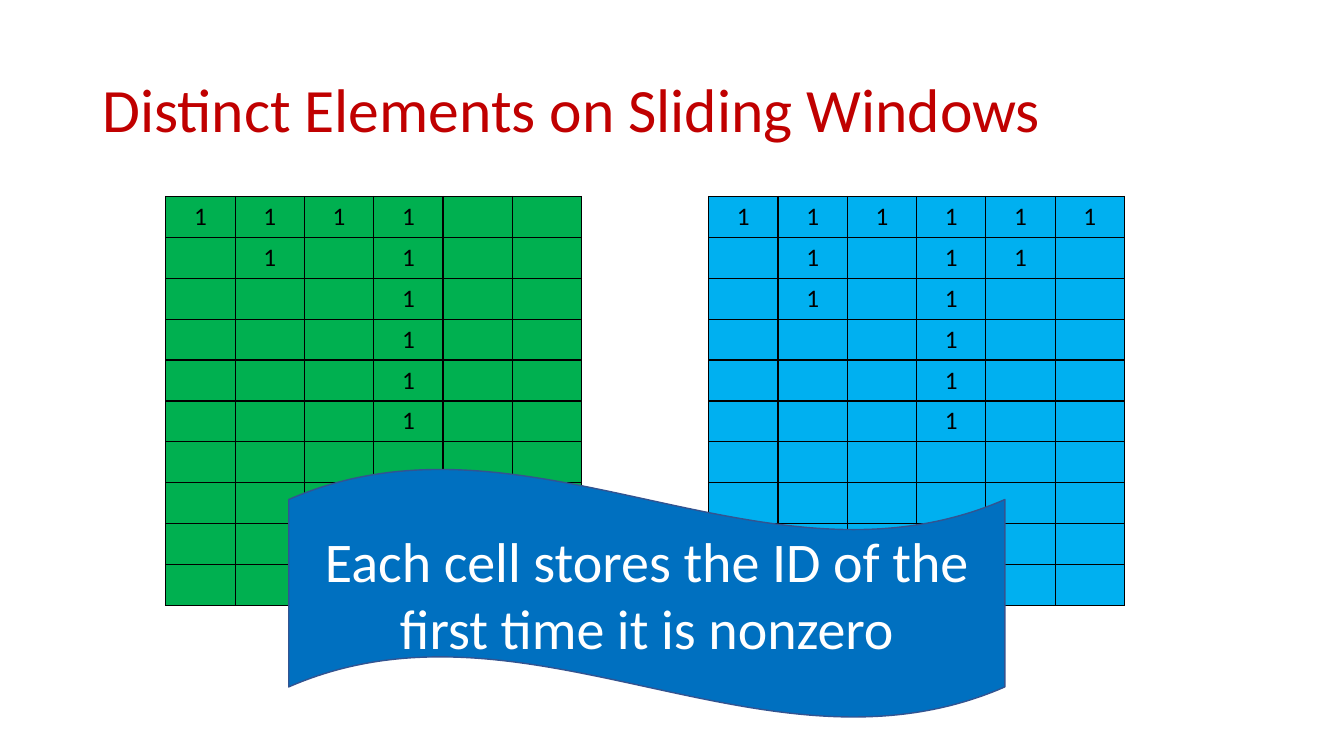
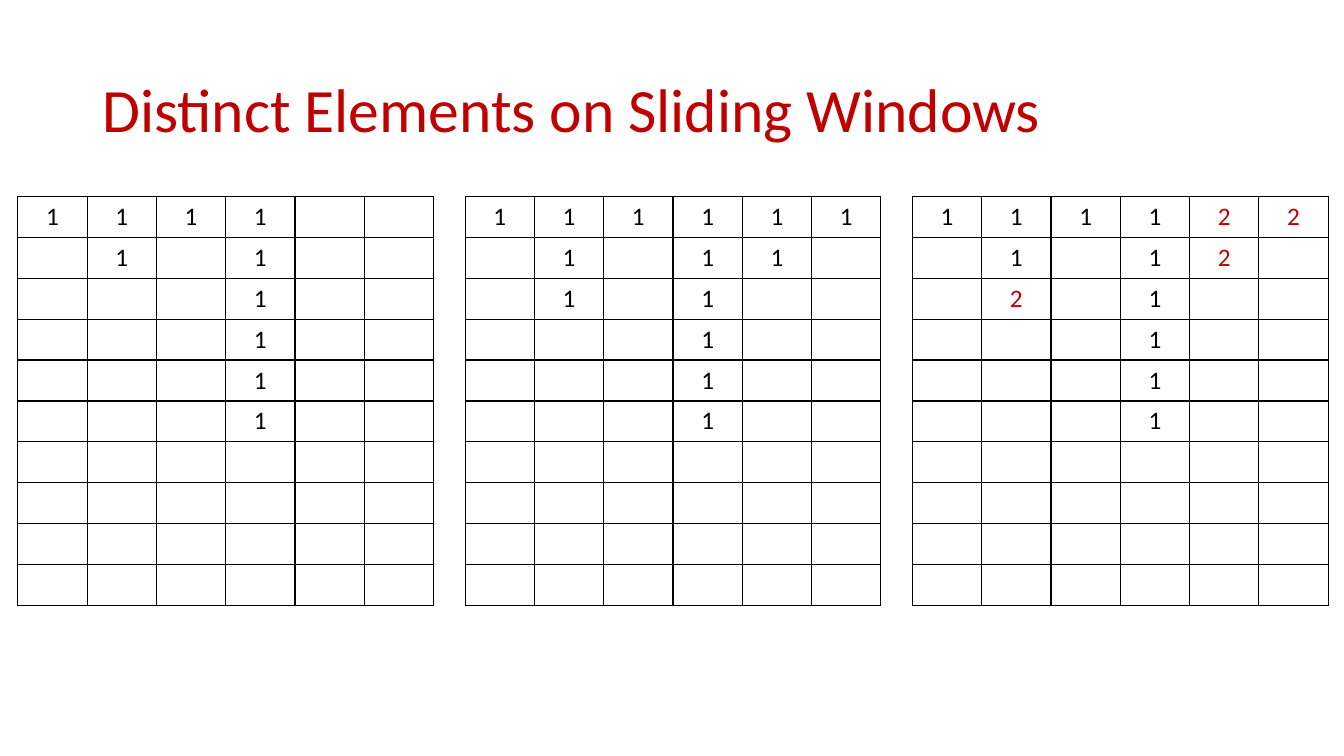
from lxml import etree
from pptx import Presentation
from pptx.dml.color import RGBColor
from pptx.enum.shapes import MSO_SHAPE
from pptx.enum.text import MSO_ANCHOR, PP_ALIGN
from pptx.oxml import parse_xml
from pptx.oxml.ns import nsdecls
from pptx.util import Pt

WAVE = MSO_SHAPE.WAVE
MIDDLE = MSO_ANCHOR.MIDDLE
LEFT, CENTER = PP_ALIGN.LEFT, PP_ALIGN.CENTER
PX = 9525  # EMU per px, 96 px to the inch

RED, BLACK, WHITE = "C00000", "000000", "FFFFFF"
GREEN, SKY, BLUE, NAVY = "00B050", "00B0F0", "0070C0", "325491"

# Text styles: font values, paragraph values, colour
TITLE = ({"name": "Calibri", "size": Pt(44)}, {"alignment": LEFT, "line_spacing": 0.9}, RED)
NOTE = ({"name": "Calibri", "size": Pt(40)}, {"alignment": CENTER}, WHITE)
MARK = ({"name": "Calibri", "size": Pt(18)}, {"alignment": CENTER}, BLACK)
FRESH = (*MARK[:2], RED)
STYLES = {"1": MARK, "2": FRESH}

# Table size and marks, one string per row that holds any
TOP, COLS, ROWS, WIDE, HIGH = 187, 6, 10, 66, 39
TAIL = ["   1"] * 3
FIRST = ["1111", " 1 1", "   1", *TAIL]
SECOND = ["111111", " 1 11", " 1 1", *TAIL]
THIRD = ["111122", " 1 12", " 2 1", *TAIL]

# Each slide: tables as (left, fill, marks), then the banner text
STEP = 426
SLIDES = [
    ([(158, GREEN, FIRST), (675, SKY, SECOND)],
     "Each cell stores the ID of the first time it is nonzero"),
    ([(17 + i * STEP, None, marks) for i, marks in enumerate([FIRST, SECOND, THIRD])], None),
]


def rgb(code):
    return RGBColor.from_string(code)


def put(frame, text, style):
    font, para, color = style
    line = frame.paragraphs[0]
    run = line.add_run()
    run.text = text
    for goal, look in ((run.font, font), (line, para)):
        for key, value in look.items():
            setattr(goal, key, value)
    run.font.color.rgb = rgb(color)


deck = Presentation()
deck.slide_width, deck.slide_height = 1280 * PX, 720 * PX

for tables, note in SLIDES:
    slide = deck.slides.add_slide(deck.slide_layouts[6])

    # Title
    box = slide.shapes.add_textbox(*(n * PX for n in (88, 38, 1104, 139)))
    box.text_frame.word_wrap = True
    box.text_frame.vertical_anchor = MIDDLE
    put(box.text_frame, "Distinct Elements on Sliding Windows", TITLE)

    # Tables
    for left, fill, marks in tables:
        area = (n * PX for n in (left, TOP, COLS * WIDE, ROWS * HIGH))
        table = slide.shapes.add_table(ROWS, COLS, *area).table
        table.first_row = table.horz_banding = False
        for col in table.columns:
            col.width = WIDE * PX
        for r, row in enumerate(table.rows):
            row.height = HIGH * PX
            signs = marks[r] if r < len(marks) else ""
            for cell, sign in zip(row.cells, signs.ljust(COLS)):
                if sign != " ":
                    put(cell.text_frame, sign, STYLES[sign])
                # Borders go before the fill
                props = cell._tc.get_or_add_tcPr()
                for side in "LRTB":
                    edge = parse_xml(f'<a:ln{side} {nsdecls("a")} w="12700"/>')
                    paint = etree.SubElement(edge, f"{{{edge.nsmap['a']}}}solidFill")
                    etree.SubElement(paint, f"{{{edge.nsmap['a']}}}srgbClr", val=BLACK)
                    props.append(edge)
                if fill:
                    cell.fill.solid()
                    cell.fill.fore_color.rgb = rgb(fill)
                else:
                    cell.fill.background()

    # Banner
    if note:
        wave = slide.shapes.add_shape(WAVE, *(n * PX for n in (275, 446, 682, 238)))
        wave.shadow.inherit = False
        wave.fill.solid()
        wave.fill.fore_color.rgb = rgb(BLUE)
        wave.line.color.rgb = rgb(NAVY)
        wave.line.width = Pt(1)
        wave.text_frame.word_wrap = True
        wave.text_frame.vertical_anchor = MIDDLE
        put(wave.text_frame, note, NOTE)

deck.save("out.pptx")
